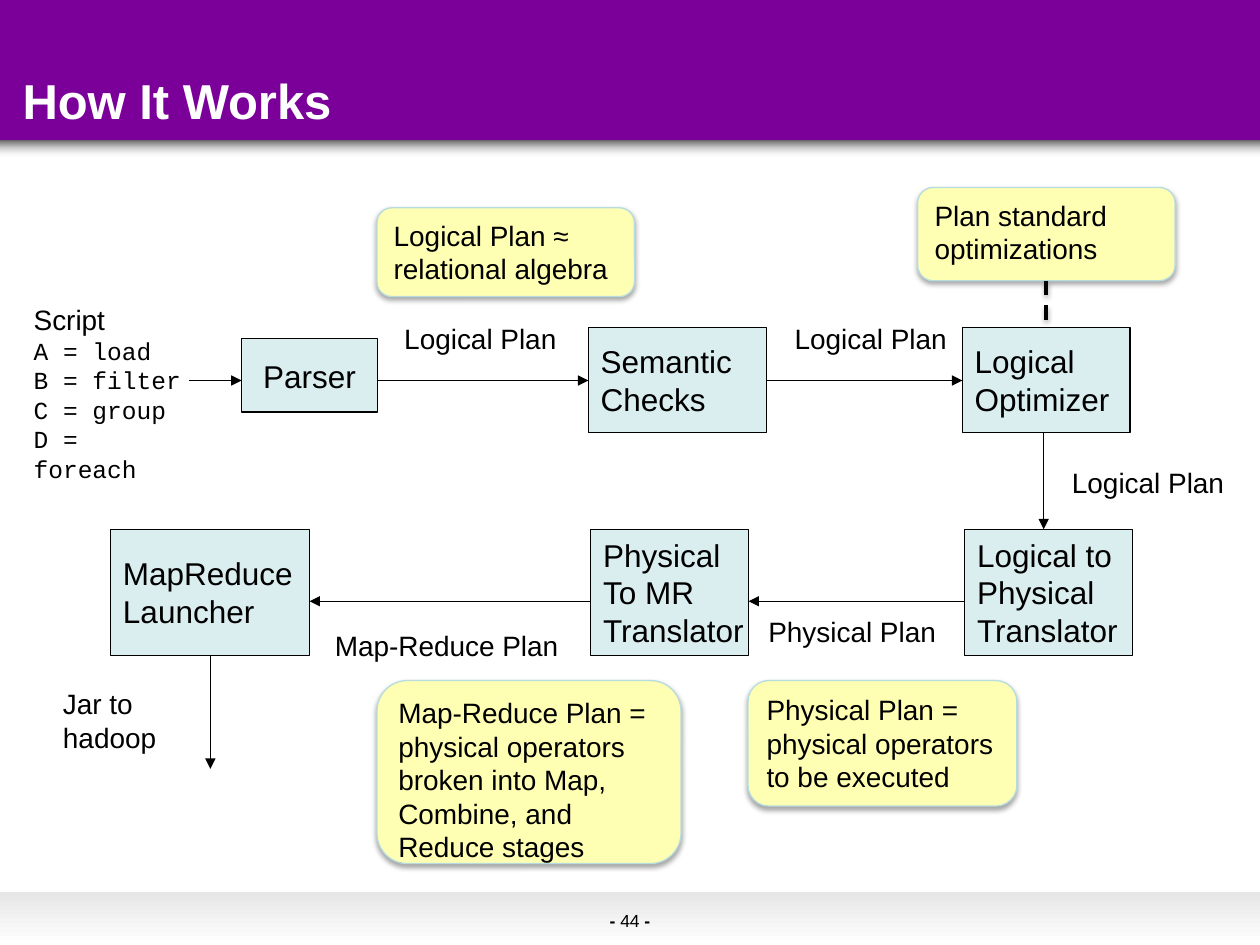
import pptx
import pptx.util
import pptx.dml.color
import pptx.enum.dml
import pptx.enum.shapes
import pptx.enum.text
import pptx.oxml
import pptx.oxml.ns

Cm, Pt = pptx.util.Cm, pptx.util.Pt
Shape = pptx.enum.shapes.MSO_SHAPE
Anchor = pptx.enum.text.MSO_ANCHOR
Align = pptx.enum.text.PP_ALIGN
NS = pptx.oxml.ns.nsdecls("a")

PURPLE, AQUA, CREAM, TEAL = "7B0099", "DAEDEF", "FFFFB3", "B6DCDF"
BLACK, WHITE, GREY = "000000", "FFFFFF", "E6E6E6"


def tint(text):
    return pptx.dml.color.RGBColor.from_string(text)


def shade(shape, alpha=0, blur=0, dist=0):
    """Give the shape its own drop shadow, or none when alpha is 0; call after the line is set."""
    inner = ""
    if alpha:
        inner = (f'<a:outerShdw blurRad="{Pt(blur)}" dist="{Pt(dist)}" dir="5400000" rotWithShape="0">'
                 f'<a:srgbClr val="{BLACK}"><a:alpha val="{alpha * 1000}"/></a:srgbClr></a:outerShdw>')
    shape._element.spPr.append(pptx.oxml.parse_xml(f"<a:effectLst {NS}>{inner}</a:effectLst>"))


class Deck:
    font = "Arial"
    mono = "Courier New"

    def __init__(self):
        self.show = pptx.Presentation()
        self.show.slide_width, self.show.slide_height = Cm(25.4), Cm(19.05)
        self.slide = self.show.slides.add_slide(self.show.slide_layouts[5])

    def span(self, para, text, size, color=BLACK, bold=False, font=None):
        run = para.add_run()
        run.text = text
        run.font.name = font or self.font
        run.font.size = Pt(size)
        run.font.bold = bold
        run.font.color.rgb = tint(color)

    def letter(self, shape, lines, size, anchor=Anchor.TOP, align=Align.LEFT):
        """Put one paragraph per line into the shape."""
        frame = shape.text_frame
        frame.word_wrap = True
        frame.vertical_anchor = anchor
        for i, line in enumerate(lines):
            para = frame.add_paragraph() if i else frame.paragraphs[0]
            para.alignment = align
            self.span(para, line, size)
        return frame

    def form(self, kind, box, fill=None, line=None):
        shape = self.slide.shapes.add_shape(kind, *map(Cm, box))
        if fill:
            shape.fill.solid()
            shape.fill.fore_color.rgb = tint(fill)
        if line:
            shape.line.color.rgb = tint(line)
            shape.line.width = Pt(0.75)
        else:
            shape.line.fill.background()
        return shape

    def band(self, box, fill):
        shade(self.form(Shape.RECTANGLE, box, fill))

    def fade(self, box, start, clear=False):
        """Band that runs from a colour down to white, or to nothing when clear."""
        shape = self.form(Shape.RECTANGLE, box)
        shape.fill.gradient()
        shape.fill.gradient_angle = 270
        for stop, color in zip(shape.fill.gradient_stops, (start, WHITE)):
            stop.color.rgb = tint(color)
        if clear:
            last = shape._element.spPr.findall(".//" + pptx.oxml.ns.qn("a:srgbClr"))[-1]
            last.append(pptx.oxml.parse_xml(f'<a:alpha {NS} val="0"/>'))
        shade(shape)

    def title(self, text, box):
        shape = self.slide.shapes.title
        shape.left, shape.top, shape.width, shape.height = map(Cm, box)
        shape.fill.solid()
        shape.fill.fore_color.rgb = tint(PURPLE)
        shape.text_frame.vertical_anchor = Anchor.BOTTOM
        para = shape.text_frame.paragraphs[0]
        para.alignment = Align.LEFT
        self.span(para, text, 28, WHITE, True)

    def node(self, box, *lines, align=Align.LEFT):
        shape = self.form(Shape.RECTANGLE, box, AQUA, BLACK)
        shade(shape)
        frame = self.letter(shape, lines, 18, Anchor.MIDDLE, align)
        frame.margin_right = 0
        if align == Align.CENTER:
            frame.margin_left = 0

    def note(self, box, text):
        shape = self.form(Shape.ROUNDED_RECTANGLE, box, CREAM, TEAL)
        shade(shape, 35, 3.1, 1.8)
        self.letter(shape, [text], 16)

    def label(self, box, *lines):
        shape = self.slide.shapes.add_textbox(*map(Cm, box))
        frame = self.letter(shape, lines, 16)
        frame.margin_right = 0
        return frame

    def script(self, box, head, lines):
        frame = self.label(box, head)
        for line in lines:
            self.span(frame.add_paragraph(), line, 14, font=self.mono)

    def page(self, box, number):
        shape = self.slide.shapes.add_textbox(*map(Cm, box))
        shape.text_frame.word_wrap = True
        shape.text_frame.vertical_anchor = Anchor.BOTTOM
        para = shape.text_frame.paragraphs[0]
        for text, bold in (("- ", True), (f"{number} ", False), ("-", True)):
            self.span(para, text, 10, bold=bold)

    def link(self, ends, width=0.75):
        line = self.slide.shapes.add_connector(
            pptx.enum.shapes.MSO_CONNECTOR.STRAIGHT, *map(Cm, ends))
        line.line.color.rgb = tint(BLACK)
        line.line.width = Pt(width)
        return line

    def arrow(self, *ends):
        line = self.link(ends)
        line.line._get_or_add_ln().append(
            pptx.oxml.parse_xml(f'<a:tailEnd {NS} type="triangle"/>'))
        shade(line)

    def dash(self, *ends):
        line = self.link(ends, 2)
        line.line.dash_style = pptx.enum.dml.MSO_LINE.DASH
        shade(line, 38, 3.1, 1.6)


def main():
    deck = Deck()
    deck.fade((0, 2.74, 25.4, 0.43), BLACK, clear=True)
    deck.band((0, 0, 25.4, 2.82), PURPLE)
    deck.fade((0, 17.98, 25.4, 1.07), GREY)
    deck.page((12.04, 18.26, 2.34, 0.64), 44)
    deck.title("How It Works", (0.2, 0.23, 24.77, 2.51))
    # The title stays above the purple band
    tree = deck.slide.shapes._spTree
    tree.append(deck.slide.shapes.title._element)

    # Upper row runs right, lower row runs left
    high, low = 7.67, 12.12
    top, tall = 6.6, 2.12
    base, deep = 10.67, 2.54
    deck.script((0.43, 5.97, 3.4, 3.3), "Script",
                ("A = load", "B = filter", "C = group", "D = foreach"))
    deck.node((4.87, 6.83, 2.74, 1.48), "Parser", align=Align.CENTER)
    deck.node((11.86, top, 3.6, tall), "Semantic", "Checks")
    deck.node((19.4, top, 3.38, tall), "Logical", "Optimizer")
    deck.node((19.45, base, 3.38, deep), "Logical to", "Physical", "Translator")
    deck.node((11.91, base, 3.18, deep), "Physical", "To MR", "Translator")
    deck.node((2.23, base, 4.01, deep), "MapReduce", "Launcher")

    for start, end in ((3.81, 4.87), (7.61, 11.86), (15.46, 19.4)):
        deck.arrow(start, high, end, high)
    for start, end in ((19.45, 15.09), (11.91, 6.24)):
        deck.arrow(start, low, end, low)
    deck.arrow(21.04, top + tall, 21.04, base)
    deck.arrow(4.24, base + deep, 4.24, 15.5)

    for left, y in ((7.9, 6.35), (15.77, 6.35), (21.36, 9.27)):
        deck.label((left, y, 3.58, 0.94), "Logical Plan")
    deck.label((15.24, 12.27, 3.89, 0.94), "Physical Plan")
    deck.label((6.5, 12.55, 5.03, 0.94), "Map-Reduce Plan")
    deck.label((1.02, 13.72, 2.39, 1.63), "Jar to", "hadoop")

    deck.note((7.6, 4.19, 5.19, 1.79), "Logical Plan ≈ relational algebra")
    deck.note((18.5, 3.78, 5.19, 1.88), "Plan standard optimizations")
    deck.dash(21.09, 5.66, 21.09, top)
    deck.note((15.08, 13.72, 5.42, 2.53), "Physical Plan = physical operators to be executed")
    deck.note((7.6, 13.72, 6.13, 3.69),
              "Map-Reduce Plan = physical operators broken into Map, Combine, and Reduce stages")
    deck.show.save("out.pptx")


if __name__ == "__main__":
    main()
